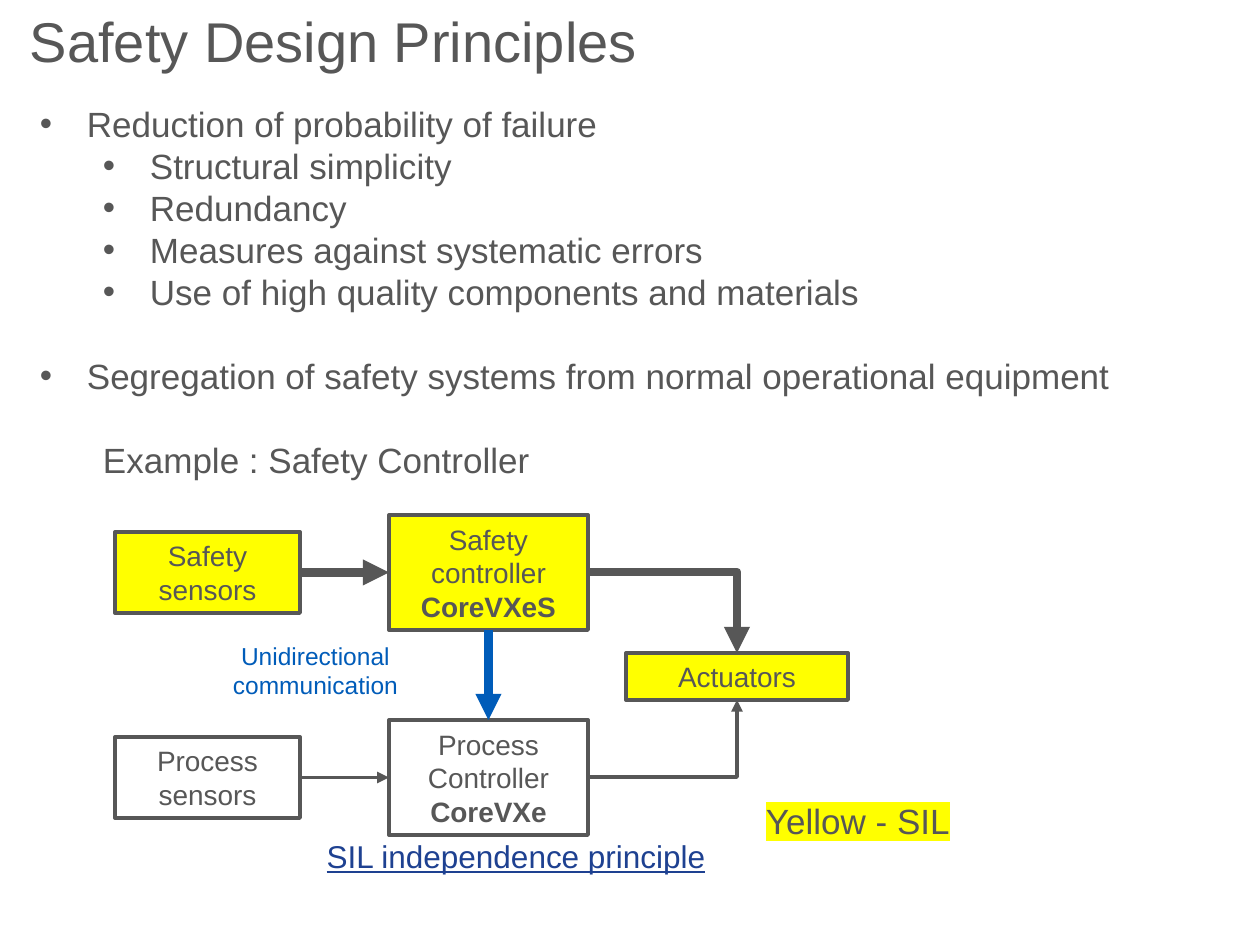
from lxml import etree
from pptx import Presentation
from pptx.dml.color import RGBColor
from pptx.enum.shapes import MSO_CONNECTOR, MSO_SHAPE
from pptx.enum.text import MSO_ANCHOR, PP_ALIGN
from pptx.oxml.ns import qn
from pptx.util import Emu, Pt

STRAIGHT, ELBOW = MSO_CONNECTOR.STRAIGHT, MSO_CONNECTOR.ELBOW
RECTANGLE = MSO_SHAPE.RECTANGLE
LEFT, CENTER = PP_ALIGN.LEFT, PP_ALIGN.CENTER
TOP, MIDDLE = MSO_ANCHOR.TOP, MSO_ANCHOR.MIDDLE
SITE_TOP, SITE_LEFT, SITE_BOTTOM, SITE_RIGHT = range(4)

SCALE = 914400 // 126
FONT = "Arial"
GREY, YELLOW, BLUE, NAVY = "575757", "FFFF00", "005CB9", "1E4191"
THIN, THICK = 2.25, 5
INDENT, LEVEL = 47, 63
BODY_LINE = 24

PRINCIPLES = [
    ("Reduction of probability of failure", 0, True, 0),
    ("Structural simplicity", 1, True, 0),
    ("Redundancy", 1, True, 0),
    ("Measures against systematic errors", 1, True, 0),
    ("Use of high quality components and materials", 1, True, 0),
    ("Segregation of safety systems from normal operational equipment", 0, True, BODY_LINE),
    ("Example : Safety Controller", 1, False, BODY_LINE),
]

BLOCKS = {
    "safety sensors": ((115, 532, 185, 81), YELLOW, [[("Safety sensors", False)]]),
    "safety controller": ((389, 515, 199, 115), YELLOW,
                          [[("Safety controller ", False), ("CoreVXeS", True)]]),
    "process sensors": ((115, 737, 185, 81), None, [[("Process sensors", False)]]),
    "process controller": ((389, 720, 199, 115), None,
                           [[("Process", False)],
                            [("Controller ", False), ("CoreVXe", True)]]),
    "actuators": ((626, 653, 222, 47), YELLOW, [[("Actuators", False)]]),
}

ELBOW_LINKS = [
    ((588, 572), (737, 653), THICK),
    ((588, 777), (737, 700), THIN),
]

STRAIGHT_LINKS = [
    ("process sensors", SITE_RIGHT, "process controller", SITE_LEFT, GREY, THIN),
    ("safety sensors", SITE_RIGHT, "safety controller", SITE_LEFT, GREY, THICK),
    ("safety controller", SITE_BOTTOM, "process controller", SITE_TOP, BLUE, THICK),
]


def px(length):
    return Emu(length * SCALE)


def color(value):
    return RGBColor.from_string(value)


def write(paragraph, text, size, ink, bold=False):
    run = paragraph.add_run()
    run.text = text
    run.font.name = FONT
    run.font.size = Pt(size)
    run.font.bold = bold
    run.font.color.rgb = color(ink)
    return run


def add_text_frame(box, inset=0, anchor=TOP):
    box = slide.shapes.add_textbox(*map(px, box))
    frame = box.text_frame
    frame.word_wrap = True
    frame.vertical_anchor = anchor
    if inset is not None:
        frame.margin_left = frame.margin_right = px(inset)
        frame.margin_top = frame.margin_bottom = px(inset)
    return frame


def add_label(box, text, size, ink=GREY, align=LEFT, spacing=None, **frame_options):
    paragraph = add_text_frame(box, **frame_options).paragraphs[0]
    paragraph.alignment = align
    paragraph.line_spacing = spacing
    return write(paragraph, text, size, ink)


def next_paragraph(frame, index):
    return frame.add_paragraph() if index else frame.paragraphs[0]


def add_principles(box):
    frame = add_text_frame(box)
    for index, (text, level, bulleted, gap) in enumerate(PRINCIPLES):
        paragraph = next_paragraph(frame, index)
        paragraph.level = level
        paragraph.line_spacing = Pt(BODY_LINE)
        if gap:
            paragraph.space_before = Pt(gap)
        properties = paragraph._p.get_or_add_pPr()
        hang = INDENT if bulleted else 0
        properties.set("marL", str(px(level * LEVEL + hang)))
        properties.set("indent", str(-px(hang)))
        if bulleted:
            etree.SubElement(properties, qn("a:buFont")).set("typeface", FONT)
            etree.SubElement(properties, qn("a:buChar")).set("char", "•")
        else:
            etree.SubElement(properties, qn("a:buNone"))
        write(paragraph, text, 20, GREY)


def add_block(box, fill, lines):
    block = slide.shapes.add_shape(RECTANGLE, *map(px, box))
    block.shadow.inherit = False
    if fill:
        block.fill.solid()
        block.fill.fore_color.rgb = color(fill)
    else:
        block.fill.background()
    block.line.color.rgb = color(GREY)
    block.line.width = Pt(THIN)
    frame = block.text_frame
    frame.word_wrap = True
    frame.vertical_anchor = MIDDLE
    for index, runs in enumerate(lines):
        paragraph = next_paragraph(frame, index)
        paragraph.alignment = CENTER
        for text, bold in runs:
            write(paragraph, text, 16, GREY, bold)
    return block


def add_arrow(kind, start, end, ink, width):
    arrow = slide.shapes.add_connector(kind, *map(px, start + end))
    arrow.line.color.rgb = color(ink)
    arrow.line.width = Pt(width)
    etree.SubElement(arrow.line._get_or_add_ln(), qn("a:tailEnd")).set("type", "triangle")
    etree.SubElement(arrow._element.spPr, qn("a:effectLst"))
    return arrow


presentation = Presentation()
presentation.slide_width, presentation.slide_height = px(1260), px(945)
slide = presentation.slides.add_slide(presentation.slide_layouts[6])

add_label((30, 14, 1150, 141), "Safety Design Principles", 32, spacing=0.9)
add_principles((40, 102, 1084, 509))
independence = add_label((300, 835, 432, 49), "SIL independence principle", 18, NAVY,
                         CENTER, 0.9, inset=None)
independence.font.underline = True

blocks = {name: add_block(*details) for name, details in BLOCKS.items()}

for start, end, width in ELBOW_LINKS:
    link = add_arrow(ELBOW, start, end, GREY, width)
    link._element.spPr.find(qn("a:prstGeom")).set("prst", "bentConnector2")

for source, source_site, target, target_site, ink, width in STRAIGHT_LINKS:
    link = add_arrow(STRAIGHT, (0, 0), (0, 0), ink, width)
    link.begin_connect(blocks[source], source_site)
    link.end_connect(blocks[target], target_site)

add_label((207, 634, 217, 72), "Unidirectional communication", 14, BLUE, CENTER,
          inset=None, anchor=MIDDLE)

legend = add_label((766, 799, 345, 43), "Yellow - SIL", 20)
highlight = etree.Element(qn("a:highlight"))
etree.SubElement(highlight, qn("a:srgbClr")).set("val", YELLOW)
legend.font._element.find(qn("a:solidFill")).addnext(highlight)

presentation.save("out.pptx")
